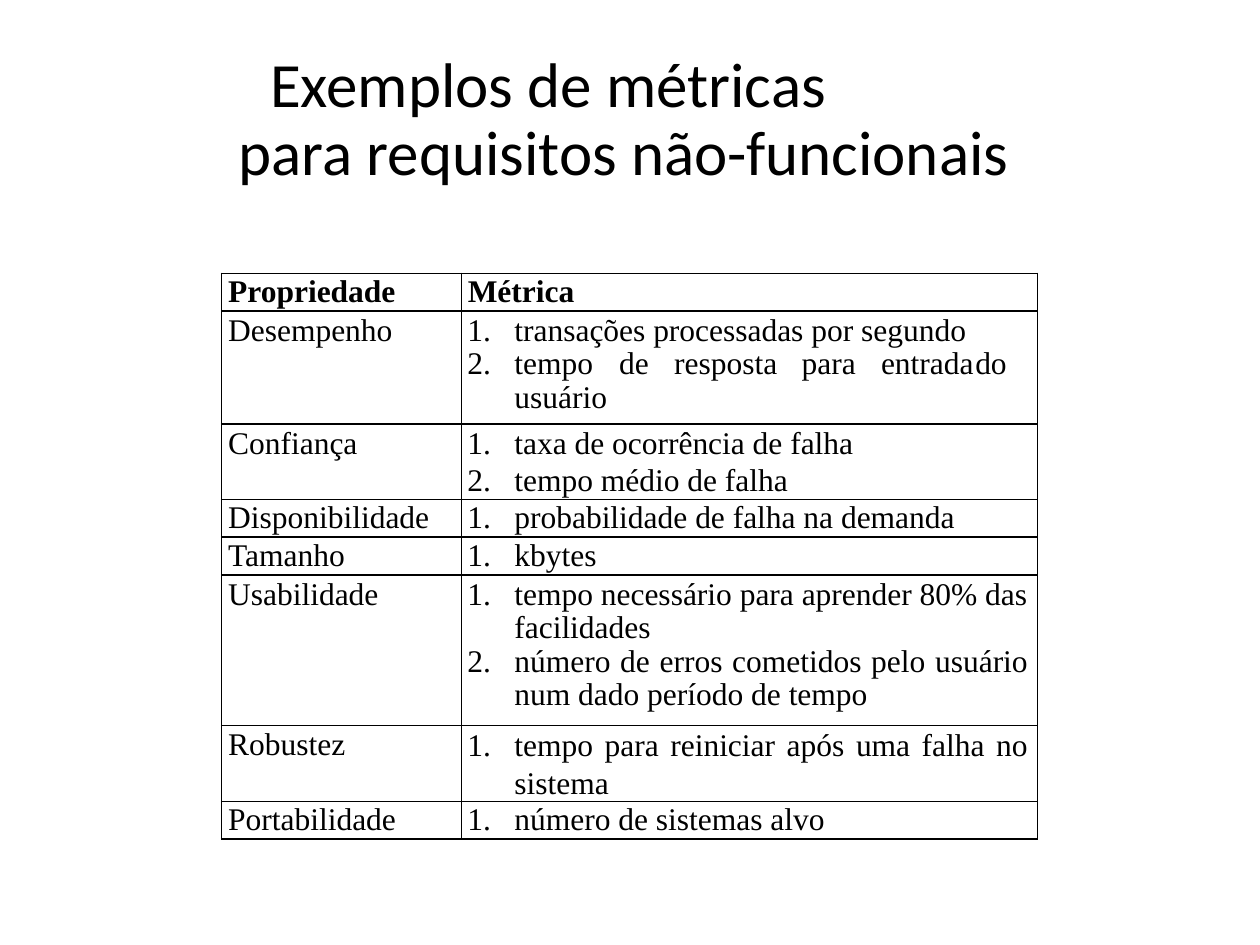
"""Build a slide with a table of metrics for non-functional requirements."""
from dataclasses import dataclass

from lxml.etree import SubElement
from pptx import Presentation
from pptx.dml.color import RGBColor
from pptx.enum.text import MSO_ANCHOR, PP_ALIGN as Align
from pptx.oxml.ns import qn
from pptx.util import Cm, Pt

COLORS = {"text": "000000", "border": "000000"}
TITLE_FONT, TABLE_FONT = "Calibri", "Times New Roman"
ROW_UNIT = 0.76
COLUMN_WIDTHS = (4.83, 11.61)
TEXT_INDENT, LIST_INDENT, NUMBER_HANG = 0.13, 1.07, -0.95
TIGHT = 0.96


@dataclass
class Metric:
    text: str
    spacing: object = None
    numbered: bool = True
    start: int = 1
    justified: bool = False
    tabs: tuple = ()


@dataclass
class Property:
    name: str
    units: int
    spacing: float
    metrics: list


PROPERTIES = [
    Property("Desempenho", 3, 21.1, [
        Metric("transações processadas por segundo"),
        Metric("tempo\tde\tresposta\tpara\tentrada\tdo usuário", TIGHT,
               tabs=(3.18, 4.29, 6.86, 8.46, 10.85)),
    ]),
    Property("Confiança", 2, 21.1, [
        Metric("taxa de ocorrência de falha"),
        Metric("tempo médio de falha"),
    ]),
    Property("Disponibilidade", 1, 20.6, [Metric("probabilidade de falha na demanda")]),
    Property("Tamanho", 1, 20.6, [Metric("kbytes")]),
    Property("Usabilidade", 4, 21.1, [
        Metric("tempo necessário para aprender 80% das"),
        Metric("facilidades", TIGHT, numbered=False),
        Metric("número de erros cometidos pelo usuário num dado período de tempo",
               TIGHT, start=2, justified=True),
    ]),
    Property("Robustez", 2, 21.1, [
        Metric("tempo para reiniciar após uma falha no sistema", Pt(21.6), justified=True),
    ]),
    Property("Portabilidade", 1, 20.6, [Metric("número de sistemas alvo")]),
]


def style_runs(paragraph, font, size, bold=False):
    for run in paragraph.runs:
        run.font.name = font
        run.font.size = Pt(size)
        run.font.bold = bold
        run.font.color.rgb = RGBColor.from_string(COLORS["text"])


def indent(paragraph, left, first=0.0, right=0.0):
    properties = paragraph._p.get_or_add_pPr()
    for key, length in (("marL", left), ("indent", first), ("marR", right)):
        properties.set(key, str(int(Cm(length))))
    return properties


def add_title(slide):
    frame = slide.shapes.add_textbox(Cm(1.9), Cm(0.84), Cm(18.54), Cm(2.97)).text_frame
    frame.word_wrap = True
    frame.vertical_anchor = MSO_ANCHOR.TOP
    frame.margin_left = frame.margin_right = frame.margin_bottom = 0
    frame.margin_top = Cm(0.2)
    title = frame.paragraphs[0]
    title.text = "Exemplos de métricas \vpara requisitos não-funcionais"
    title.alignment = Align.CENTER
    title.line_spacing = Pt(38.9)
    title.space_before = Pt(5.8)
    indent(title, 2.8, -2.75)
    style_runs(title, TITLE_FONT, 36)


def format_cell(cell):
    cell.fill.background()
    cell.margin_left = cell.margin_right = cell.margin_top = cell.margin_bottom = 0
    cell_properties = cell._tc.get_or_add_tcPr()
    for position, side in enumerate(("lnL", "lnR", "lnT", "lnB")):
        line = cell_properties.makeelement(qn(f"a:{side}"), {"w": str(int(Pt(1)))})
        fill = SubElement(line, qn("a:solidFill"))
        SubElement(fill, qn("a:srgbClr"), val=COLORS["border"])
        cell_properties.insert(position, line)


def write_label(cell, text, spacing, bold=False):
    label = cell.text_frame.paragraphs[0]
    label.text = text
    label.line_spacing = Pt(spacing)
    indent(label, TEXT_INDENT)
    style_runs(label, TABLE_FONT, 18, bold)


def write_metrics(cell, metrics, spacing):
    frame = cell.text_frame
    for index, metric in enumerate(metrics):
        paragraph = frame.add_paragraph() if index else frame.paragraphs[0]
        paragraph.text = metric.text
        paragraph.line_spacing = metric.spacing or Pt(spacing)
        if metric.justified:
            paragraph.alignment = Align.JUSTIFY
        right = 0.18 if metric.justified or metric.tabs else 0
        properties = indent(paragraph, LIST_INDENT,
                            NUMBER_HANG if metric.numbered else 0, right)
        if metric.numbered:
            number = SubElement(properties, qn("a:buAutoNum"), type="arabicPeriod")
            if metric.start > 1:
                number.set("startAt", str(metric.start))
            stops = SubElement(properties, qn("a:tabLst"))
            for stop in (LIST_INDENT, *metric.tabs):
                SubElement(stops, qn("a:tab"), pos=str(int(Cm(stop))), algn="l")
        style_runs(paragraph, TABLE_FONT, 18)


def add_metrics_table(slide):
    units = [1] + [entry.units for entry in PROPERTIES]
    table = slide.shapes.add_table(
        len(units), len(COLUMN_WIDTHS), Cm(4.47), Cm(5.51),
        Cm(sum(COLUMN_WIDTHS)), Cm(ROW_UNIT * sum(units))).table
    table.first_row = table.horz_banding = False
    for column, width in zip(table.columns, COLUMN_WIDTHS):
        column.width = Cm(width)
    for row, count in zip(table.rows, units):
        row.height = Cm(ROW_UNIT * count)
    for cell in table.iter_cells():
        format_cell(cell)
    for column, heading in enumerate(("Propriedade", "Métrica")):
        write_label(table.cell(0, column), heading, 20.6, bold=True)
    for row, entry in enumerate(PROPERTIES, start=1):
        write_label(table.cell(row, 0), entry.name, entry.spacing)
        write_metrics(table.cell(row, 1), entry.metrics, entry.spacing)


def main():
    presentation = Presentation()
    presentation.slide_width, presentation.slide_height = Cm(25.4), Cm(19.05)
    slide = presentation.slides.add_slide(presentation.slide_layouts[6])
    add_title(slide)
    add_metrics_table(slide)
    presentation.save("out.pptx")


if __name__ == "__main__":
    main()
